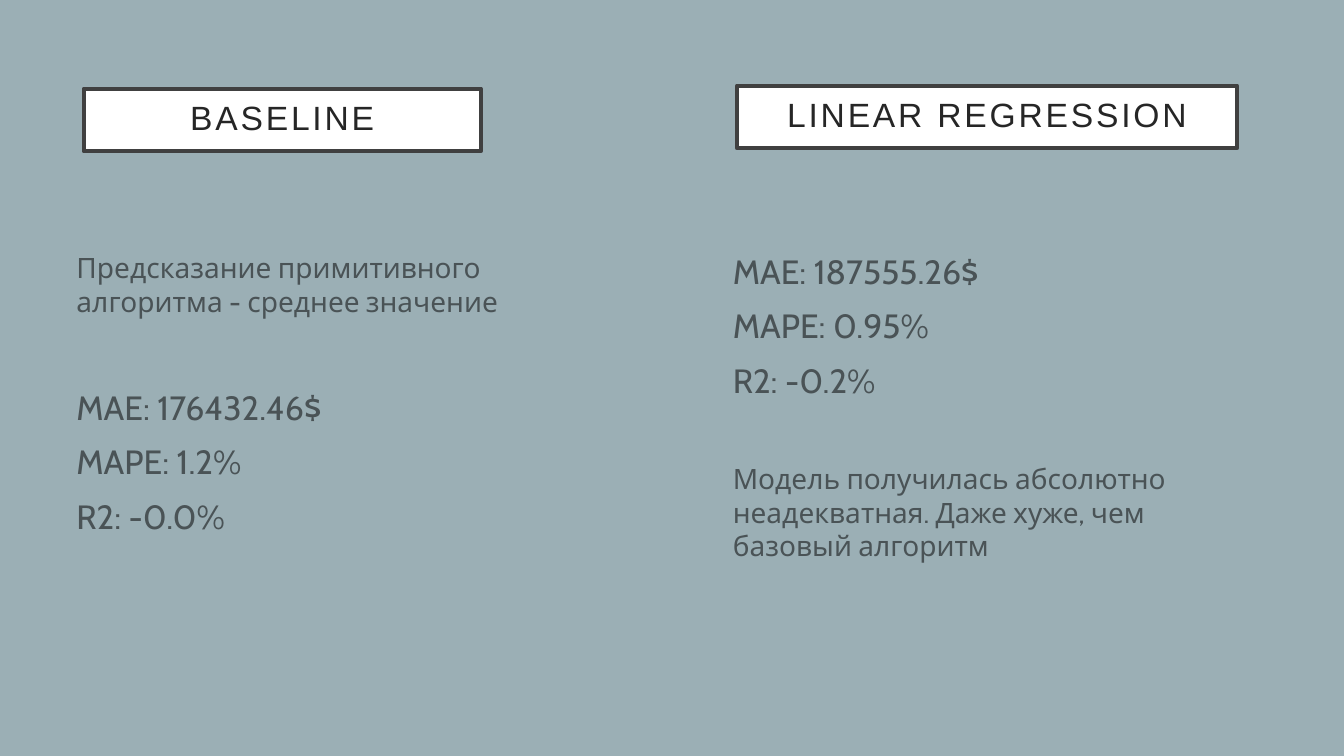
"""Builds a slide comparing a baseline with a linear regression model."""
from pptx import Presentation
from pptx.dml.color import RGBColor
from pptx.enum import shapes, text
from pptx.util import Inches, Pt

BACKGROUND = RGBColor(0x9B, 0xAF, 0xB5)
WHITE = RGBColor(0xFF, 0xFF, 0xFF)
BORDER = RGBColor(0x40, 0x40, 0x40)
TITLE = RGBColor(0x26, 0x26, 0x26)
BODY = RGBColor(0x4A, 0x53, 0x56)

NOTE_SIZE, METRIC_SIZE = 20, 24
GAP = 10


class ComparisonSlide:
    """Holds the text style and the current page."""

    def __init__(self, deck):
        """Add a blank page with a plain background."""
        self.page = deck.slides.add_slide(deck.slide_layouts[6])
        self.page.background.fill.solid()
        self.page.background.fill.fore_color.rgb = BACKGROUND

    def format(self, target, values):
        """Set each named attribute on the target."""
        for name, value in values.items():
            setattr(target, name, value)

    def add_span(self, para, words, size, font, color):
        """Add one styled span to a paragraph."""
        span = para.add_run()
        span.text = words
        self.format(span.font, {"size": Pt(size), "name": font})
        span.font.color.rgb = color
        return span

    def heading(self, words, left, top, width):
        """Draw a bordered white box with a spaced title."""
        box = self.page.shapes.add_shape(
            shapes.MSO_SHAPE.RECTANGLE,
            Inches(left), Inches(top), Inches(width), Inches(0.62))
        box.shadow.inherit = False
        box.fill.solid()
        box.fill.fore_color.rgb = WHITE
        box.line.color.rgb = BORDER
        box.line.width = Pt(3)
        self.format(box.text_frame, {
            "word_wrap": True, "vertical_anchor": text.MSO_ANCHOR.MIDDLE,
            "margin_left": Inches(0.3), "margin_right": Inches(0.3),
            "margin_top": Inches(0.2), "margin_bottom": Inches(0.2)})
        para = box.text_frame.paragraphs[0]
        self.format(para, {"alignment": text.PP_ALIGN.CENTER, "line_spacing": 0.9})
        span = self.add_span(para, words, 24, "Arial", TITLE)
        span._r.get_or_add_rPr().set("spc", "200")

    def body(self, lines, left, width):
        """Add paragraphs given as words, size and space before."""
        box = self.page.shapes.add_textbox(
            Inches(left), Inches(2.44), Inches(width), Inches(3.79))
        frame = box.text_frame
        frame.word_wrap = True
        for index, (words, size, space) in enumerate(lines):
            para = frame.add_paragraph() if index else frame.paragraphs[0]
            para.space_before = Pt(space)
            self.add_span(para, words, size, "Cabin", BODY)


def main():
    """Build and save the deck."""
    deck = Presentation()
    deck.slide_width, deck.slide_height = Inches(13.33), Inches(7.5)
    slide = ComparisonSlide(deck)

    slide.heading("BASELINE", 0.83, 0.88, 3.94)
    slide.body([
        ("Предсказание примитивного алгоритма - среднее значение", NOTE_SIZE, GAP),
        ("MAE: 176432.46$", METRIC_SIZE, 49),
        ("MAPE: 1.2%", METRIC_SIZE, GAP),
        ("R2: -0.0%", METRIC_SIZE, GAP)], 0.66, 5.21)

    slide.heading("LINEAR REGRESSION", 7.31, 0.85, 4.96)
    slide.body([
        ("MAE: 187555.26$", METRIC_SIZE, GAP),
        ("MAPE: 0.95%", METRIC_SIZE, GAP),
        ("R2: -0.2%", METRIC_SIZE, GAP),
        ("Модель получилась абсолютно неадекватная. Даже хуже, чем базовый алгоритм",
         NOTE_SIZE, 44)], 7.17, 5.24)

    deck.save("out.pptx")


if __name__ == "__main__":
    main()
